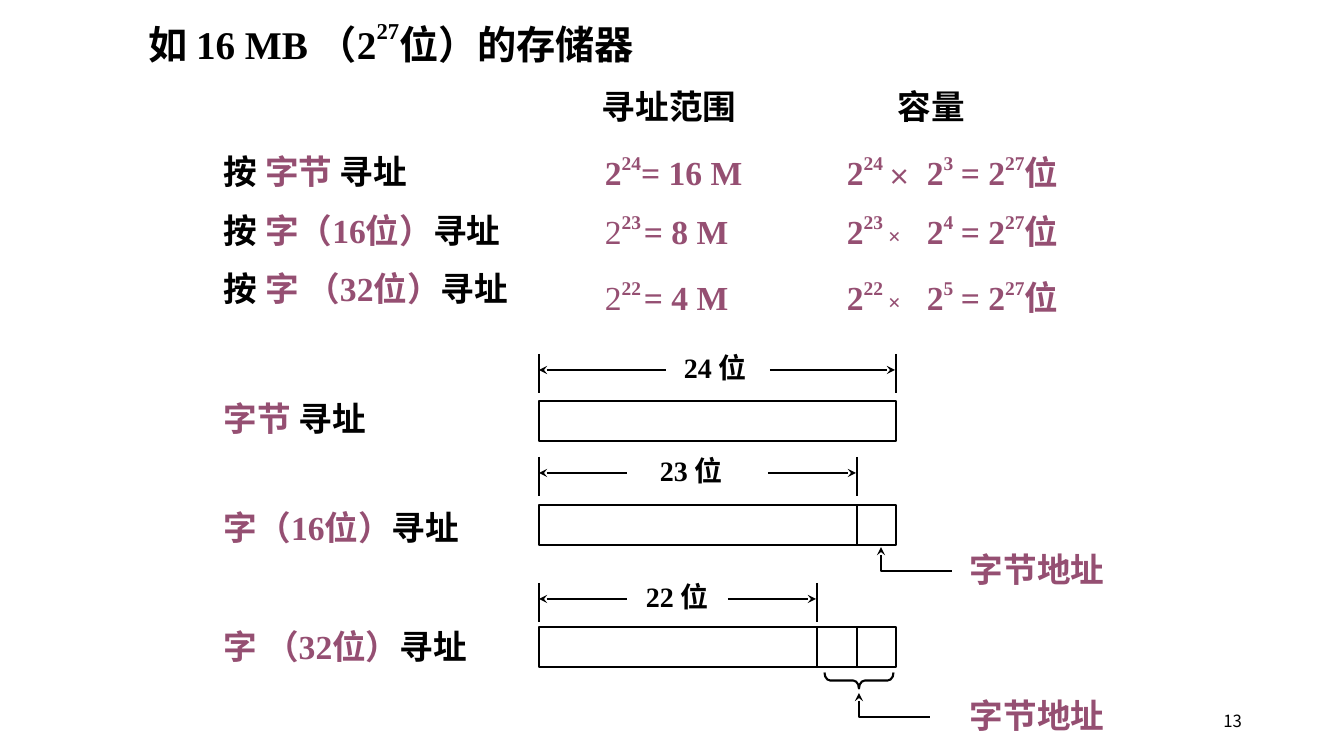
from lxml import etree
from pptx import Presentation
from pptx.dml.color import RGBColor
from pptx.enum.shapes import MSO_CONNECTOR, MSO_SHAPE
from pptx.enum.text import MSO_ANCHOR, MSO_AUTO_SIZE, PP_ALIGN
from pptx.oxml.ns import qn
from pptx.util import Pt

STRAIGHT = MSO_CONNECTOR.STRAIGHT
RECT, BRACE = MSO_SHAPE.RECTANGLE, MSO_SHAPE.LEFT_BRACE
TOP, MIDDLE = MSO_ANCHOR.TOP, MSO_ANCHOR.MIDDLE
LEFT, RIGHT = PP_ALIGN.LEFT, PP_ALIGN.RIGHT
NO_FIT = MSO_AUTO_SIZE.NONE
EMU_PER_PX = 914400 / 100.8
INK, PLUM = "000000", "954F72"
SERIF, SANS = "Times New Roman", "Noto Sans CJK SC"


def px(n):
    return round(n * EMU_PER_PX)


def rgb(value):
    return RGBColor.from_string(value)


def run(text, size=24, color=PLUM, font=SERIF, bold=True, base=0):
    return text, size, color, font, bold, base


def power(exponent, bold=True):
    return [run("2", bold=bold), run(exponent, base=45)]


class Deck:
    def __init__(self, width, height):
        self.prs = Presentation()
        self.prs.slide_width, self.prs.slide_height = px(width), px(height)
        self.s = self.prs.slides.add_slide(self.prs.slide_layouts[5])

    def fill_text(self, sp, runs, align=LEFT, anchor=TOP):
        tf = sp.text_frame
        tf.word_wrap, tf.auto_size = True, NO_FIT
        tf.vertical_anchor = anchor
        p = tf.paragraphs[0]
        p.alignment = align
        for text, size, color, font, bold, base in runs:
            r = p.add_run()
            r.text = text
            r.font.size, r.font.bold = Pt(size), bold
            r.font.color.rgb = rgb(color)
            r.font.name = font
            rPr = r._r.get_or_add_rPr()
            etree.SubElement(rPr, qn("a:ea")).set("typeface", SANS)
            if base:
                rPr.set("baseline", str(base * 1000))

    def title(self, x, y, w, h, runs):
        sp = self.s.shapes.title
        sp.left, sp.top, sp.width, sp.height = map(px, (x, y, w, h))
        self.fill_text(sp, runs)

    def text(self, x, y, w, runs, h=50, **layout):
        sp = self.s.shapes.add_textbox(px(x), px(y), px(w), px(h))
        self.fill_text(sp, runs, **layout)

    def stroke(self, sp, width=1, arrow=None):
        sp.line.color.rgb = rgb(INK)
        sp.line.width = Pt(width)
        if arrow:
            ln = sp.line._get_or_add_ln()
            etree.SubElement(ln, qn("a:" + arrow)).set("type", "stealth")

    def line(self, x1, y1, x2, y2, arrow=None):
        c = self.s.shapes.add_connector(STRAIGHT, px(x1), px(y1), px(x2), px(y2))
        self.stroke(c, arrow=arrow)
        etree.SubElement(c._element.spPr, qn("a:effectLst"))

    def outline(self, kind, x, y, w, h):
        sp = self.s.shapes.add_shape(kind, px(x), px(y), px(w), px(h))
        sp.shadow.inherit = False
        sp.fill.background()
        self.stroke(sp, 1.5)
        return sp

    def elbow(self, x, y):
        fb = self.s.shapes.build_freeform(x, y, scale=EMU_PER_PX)
        fb.add_line_segments([(x, y + 24), (x + 71, y + 24)], close=False)
        sp = fb.convert_to_shape()
        sp.shadow.inherit = False
        sp.fill.background()
        self.stroke(sp, arrow="headEnd")

    def address(self, bits, y, bar_y, splits, inner, label_x):
        left, right = 539, 896
        end = splits[0] if splits else right
        for x in (left, end):
            self.line(x, y, x, y + 39)
        self.line(left, y + 16, inner[0], y + 16, "headEnd")
        self.line(inner[1], y + 16, end - 1, y + 16, "tailEnd")
        self.text(label_x, y - 8, 127, [run(bits + " ", 20, INK), run("位", 20, INK)], 43)
        self.outline(RECT, left, bar_y, right - left, 40)
        for x in splits:
            self.line(x, bar_y, x, bar_y + 40)


def main():
    d = Deck(1344, 756)
    d.title(138, 12, 560, 57, [
        run("如 ", 28, INK, SANS), run("16 MB （2", 28, INK),
        run("27", 28, INK, base=50), run("位）的存储器", 28, INK)])
    d.text(592, 81, 230, [run("寻址范围", color=INK)])
    d.text(888, 81, 230, [run("容量", color=INK)])

    seek = run("寻址", color=INK)
    modes = [
        ("字节 ", 146, 146, "24", "= 16 M", "3", True, 393),
        ("字（16位）", 205, 205, "23", "= 8 M", "4", False, 502),
        ("字 （32位）", 263, 271, "22", "= 4 M", "5", False, 621),
    ]
    for unit, y, value_y, exponent, size, width, first, bar_label_y in modes:
        d.text(214, y, 380, [run("按 ", color=INK), run(unit), seek])
        gap = [] if first else [run(" ", 8)]
        d.text(595, value_y, 240, power(exponent, first) + gap + [run(size)])
        times = run("×", 16, font=SANS if first else SERIF)
        d.text(837, value_y, 90, power(exponent + " ") + [times])
        d.text(917, value_y, 60, power(width))
        d.text(951, value_y, 180, [run("= 2"), run("27", base=45), run("位")])
        d.text(214, bar_label_y, 310, [run(unit), seek])

    d.address("24", 354, 401, [], (666, 770), 674)
    d.address("23", 457, 505, [857], (627, 768), 650)
    d.address("22", 583, 627, [817, 857], (627, 728), 636)

    brace = d.outline(BRACE, 851, 646, 16, 69)
    brace.rotation = 270
    brace.adjustments[0] = 0.36
    for x, y in ((881, 547), (859, 693)):
        d.elbow(x, y)
        d.text(960, y - 3, 190, [run("字节地址")])

    d.text(950, 701, 302, [run("13", 12, INK, SANS, False)], 40,
           align=RIGHT, anchor=MIDDLE)
    d.prs.save("out.pptx")


if __name__ == "__main__":
    main()
